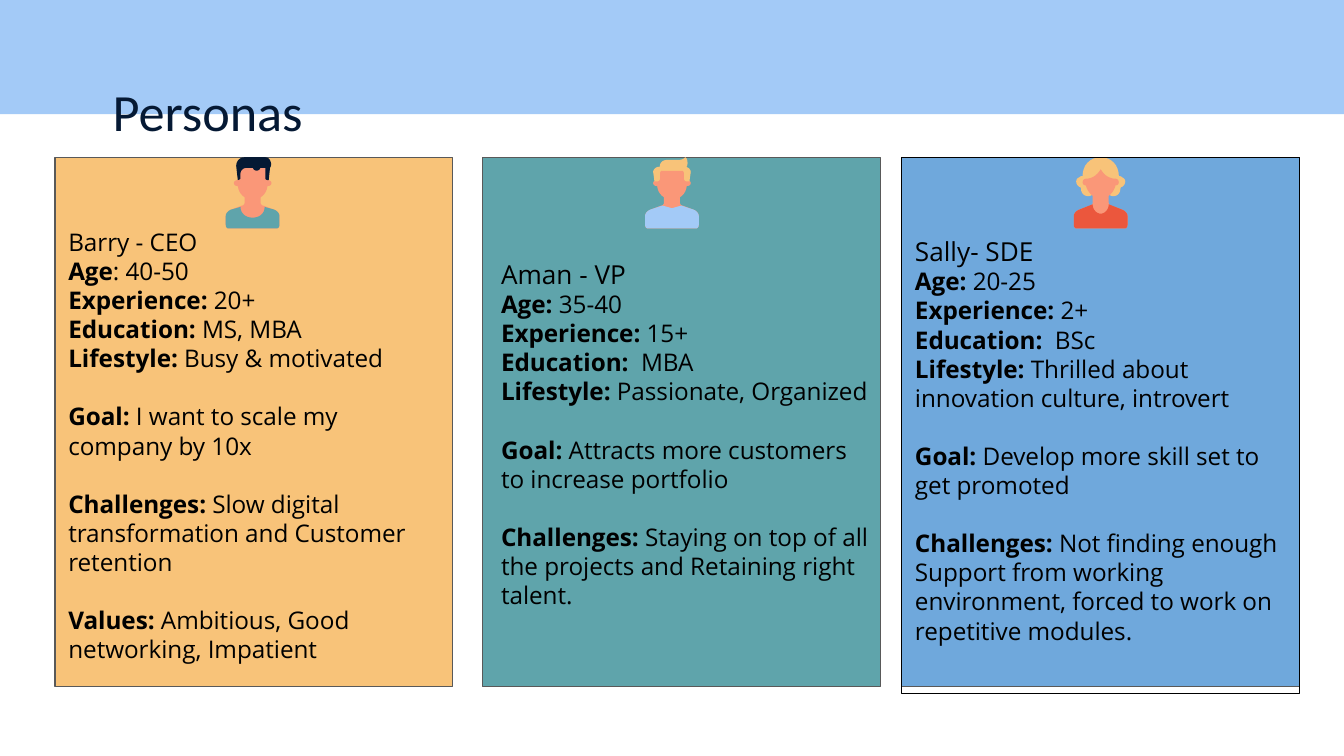
from pptx import Presentation
from pptx.dml.color import RGBColor
from pptx.enum.shapes import MSO_SHAPE as SHAPE
from pptx.enum.text import MSO_ANCHOR as ANCHOR, PP_ALIGN as ALIGN
from pptx.util import Inches, Pt

NAVY, SKY, BLACK = "051934", "A3CAF7", "000000"
SAND, TEAL, BLUE = "F8C379", "5FA4AB", "6FA8DC"
SKIN, RED, GREY = "FA9778", "EB573D", "595959"
CARD_W, CARD_H, CARD_TOP = 2.96, 3.94, 1.17

# Avatar outlines: hundredths of an inch, x from the avatar's centre, y from its top.
SHOULDERS = (" L -16 39 C -18.5 40 -20 42 -20 44 L -20 50 C -20 52 -19 53 -18 53"
             " L 18 53 C 19 53 20 52 20 50 L 20 44 C 20 42 18.5 40 16 39 ")
TORSO = ("M -6 28 L -6 34 C -6 35 -7 36 -8 36" + SHOULDERS
         + "L 8 36 C 7 36 6 35 6 34 L 6 28")
HEAD = ("M -11 8 L -11 17 C -15 17 -15 21.5 -11 21.5 C -10.5 27 -6 31.5 0 31.5"
        " C 6 31.5 10.5 27 11 21.5 C 15 21.5 15 17 11 17 L 11 8")
HEART_HEAD = ("M 0 9 C -3 14 -7 16 -11 16 C -14 16 -14.5 21 -11 21 C -10 26 -5 31 0 31"
              " C 5 31 10 26 11 21 C 14.5 21 14 16 11 16 C 7 16 3 14 0 9")
CURL = ("M -13.5 14 C -14 14 -15 14 -16 15 C -19 16 -19 20 -16 22"
        " C -15 22 -14.5 23 -14.5 25 C -13.5 28 -11.5 29 -9 29"
        " C -8 29 -6 28 -5 27 C -2 23 -5 17 -9 17 C -9.5 15 -11 14 -13.5 14")
BOB = "M 0 0 C -8 0 -13.5 6 -13.5 14 L -13.5 18 L 13.5 18 L 13.5 14 C 13.5 6 8 0 0 0"
ROUND_SHIRT = "M -9 37" + SHOULDERS + "L 9 37 C 9 42 5 45 0 45 C -5 45 -9 42 -9 37"
SMALL_ROUND_SHIRT = "M -6 35" + SHOULDERS + "L 6 35 C 6 39 3 42 0 42 C -3 42 -6 39 -6 35"
V_SHIRT = "M -7 36" + SHOULDERS + "L 7 36 L 0 38"
DARK_HAIR = ("M -6 0 C -10 0 -13 4 -12 8 L -11 17 C -10 17 -9 16 -9 16 L -9 12"
             " C -9 10 -7 8 -5 8 L 9.5 8 L 9.5 16 C 9.5 16 10 17 11 17 L 12 17"
             " L 13 8 C 15 5 13 0 9.5 0")
DARK_LOCK = "M 3 5 C 1 5 0 6 0 7 C 0 8 1 10 3 10 C 5 10 6 8 6 7 C 6 6 5 5 3 5"
FAIR_HAIR = ("M -9 7 C -12 7 -14 9 -14 11 L -13 18 L -11 18 C -10 18 -9 17 -9 16 L -9 12"
             " C -9 11 -8 10 -8 10 L 8 10 C 8 10 9 11 9 12 L 9 16 C 9 17 10 18 11 18"
             " L 13 18 L 14 11 C 14 9 12 7 9 7")
FAIR_QUIFF = "M 10 0 C 9 1 8 2 5 2 L -3 2 C -7 2 -9 4 -9 7 C -9 9 -8 10 -7 10 L 7 10 C 10 10 13 6 11 1"


def rgb(value):
    return RGBColor.from_string(value)


def style(sp, fill=None, line=None):
    sp.shadow.inherit = False
    if fill:
        sp.fill.solid()
        sp.fill.fore_color.rgb = rgb(fill)
    else:
        sp.fill.background()
    if line:
        sp.line.color.rgb = rgb(line)
        sp.line.width = Pt(0.75)
    else:
        sp.line.fill.background()


def add_box(slide, x, y, w, h, fill=None, line=None):
    sp = slide.shapes.add_shape(SHAPE.RECTANGLE, *map(Inches, (x, y, w, h)))
    style(sp, fill, line)
    return sp


def add_text(p, text, size=13, bold=False, font="Open Sans", color=BLACK):
    r = p.add_run()
    r.text = text
    r.font.name, r.font.size, r.font.bold = font, Pt(size), bold
    r.font.color.rgb = rgb(color)


def trace(outline, steps=8):
    """Turn an M/L/C outline into points, with each curve cut into short lines."""
    points = []
    for part in outline.replace("M", "L").replace("C", "|C").replace("L", "|L").split("|")[1:]:
        kind, *numbers = part.split()
        values = [float(n) for n in numbers]
        ends = list(zip(values[::2], values[1::2]))
        if kind == "L":
            points += ends
            continue
        curve = [points[-1], *ends]
        for i in range(1, steps + 1):
            t = i / steps
            weights = ((1 - t) ** 3, 3 * t * (1 - t) ** 2, 3 * t * t * (1 - t), t ** 3)
            points.append(tuple(sum(w * c[axis] for w, c in zip(weights, curve))
                                for axis in (0, 1)))
    return points


def add_avatar(slide, centre, top, layers):
    """Stack (colour, outline, side) layers; side -1 mirrors the outline."""
    for color, outline, side in layers:
        points = [(Inches(centre + side * x / 100), Inches(top + y / 100))
                  for x, y in trace(outline)]
        builder = slide.shapes.build_freeform(*points[0])
        builder.add_line_segments(points[1:], close=True)
        style(builder.convert_to_shape(), color)


def fill_profile(sp, name, facts, top, name_size=14):
    """Write the name, then label and value lines; Goal and later labels open a new block."""
    tf = sp.text_frame
    tf.word_wrap = True
    tf.vertical_anchor = ANCHOR.TOP
    tf.margin_left = tf.margin_right = tf.margin_bottom = Inches(0.1)
    tf.margin_top = Inches(top)
    p = tf.paragraphs[0]
    p.alignment = ALIGN.LEFT
    p.line_spacing = Pt(1.2 * name_size)
    add_text(p, name, size=name_size)
    for label, value in facts:
        p = tf.add_paragraph()
        p.alignment = ALIGN.LEFT
        p.line_spacing = Pt(15.6)
        if label in ("Goal:", "Challenges:", "Values:"):
            p.space_before = Pt(15.6)
        add_text(p, label, bold=True)
        add_text(p, value)


def add_header(slide, w, h):
    add_box(slide, 0, 0, w, h, SKY)
    title = slide.shapes.add_textbox(*map(Inches, (0.74, 0.49, 7.73, 0.63)))
    tf = title.text_frame
    tf.word_wrap = True
    tf.margin_left = tf.margin_top = tf.margin_right = tf.margin_bottom = Inches(0.1)
    add_text(tf.paragraphs[0], "Personas", size=28, font="Calibri", color=NAVY)


def main():
    prs = Presentation()
    prs.slide_width = Inches(10)
    prs.slide_height = prs.slide_width * 9 // 16
    slide = prs.slides.add_slide(prs.slide_layouts[6])
    add_header(slide, 10, 0.85)

    for x, color in ((0.41, SAND), (3.59, TEAL), (6.71, BLUE)):
        add_box(slide, x, CARD_TOP, CARD_W, CARD_H, color, GREY)

    add_avatar(slide, 1.88, CARD_TOP, [
        (SKIN, TORSO, 1), (TEAL, ROUND_SHIRT, 1), (SKIN, HEAD, 1),
        (NAVY, DARK_HAIR, 1), (NAVY, DARK_LOCK, 1)])
    add_avatar(slide, 5, CARD_TOP, [
        (SKIN, TORSO, 1), (SKY, V_SHIRT, 1), (SKIN, HEAD, 1),
        (SAND, FAIR_HAIR, 1), (SAND, FAIR_QUIFF, 1)])
    add_avatar(slide, 8.19, CARD_TOP, [
        (SAND, CURL, 1), (SAND, CURL, -1), (SAND, BOB, 1),
        (SKIN, TORSO, 1), (RED, SMALL_ROUND_SHIRT, 1), (SKIN, HEART_HEAD, 1)])

    sally = add_box(slide, 6.71, CARD_TOP, CARD_W, 3.99, line=BLACK)
    fill_profile(sally, "Sally- SDE", [
        ("Age:", " 20-25"), ("Experience:", " 2+"), ("Education:", "  BSc"),
        ("Lifestyle:", " Thrilled about innovation culture, introvert"),
        ("Goal:", " Develop more skill set to get promoted"),
        ("Challenges:", " Not finding enough Support from working environment, "
                        "forced to work on repetitive modules.")], top=0.58)

    aman = slide.shapes.add_textbox(*map(Inches, (3.63, 1.11, CARD_W, 4.01)))
    fill_profile(aman, "Aman - VP", [
        ("Age:", " 35-40"), ("Experience:", " 15+"), ("Education:", "  MBA"),
        ("Lifestyle:", " Passionate, Organized"),
        ("Goal:", " Attracts more customers to increase portfolio"),
        ("Challenges:", " Staying on top of all the projects and "
                        "Retaining right talent.")], top=0.81)

    barry = slide.shapes.add_textbox(*map(Inches, (0.41, 1.11, 2.88, 4.19)))
    fill_profile(barry, "Barry - CEO", [
        ("Age", ": 40-50"), ("Experience:", " 20+"), ("Education:", " MS, MBA"),
        ("Lifestyle:", " Busy & motivated"),
        ("Goal:", " I want to scale my company by 10x"),
        ("Challenges:", " Slow digital transformation and Customer retention"),
        ("Values:", " Ambitious, Good networking, Impatient")], top=0.58, name_size=13)

    prs.save("out.pptx")


if __name__ == "__main__":
    main()
